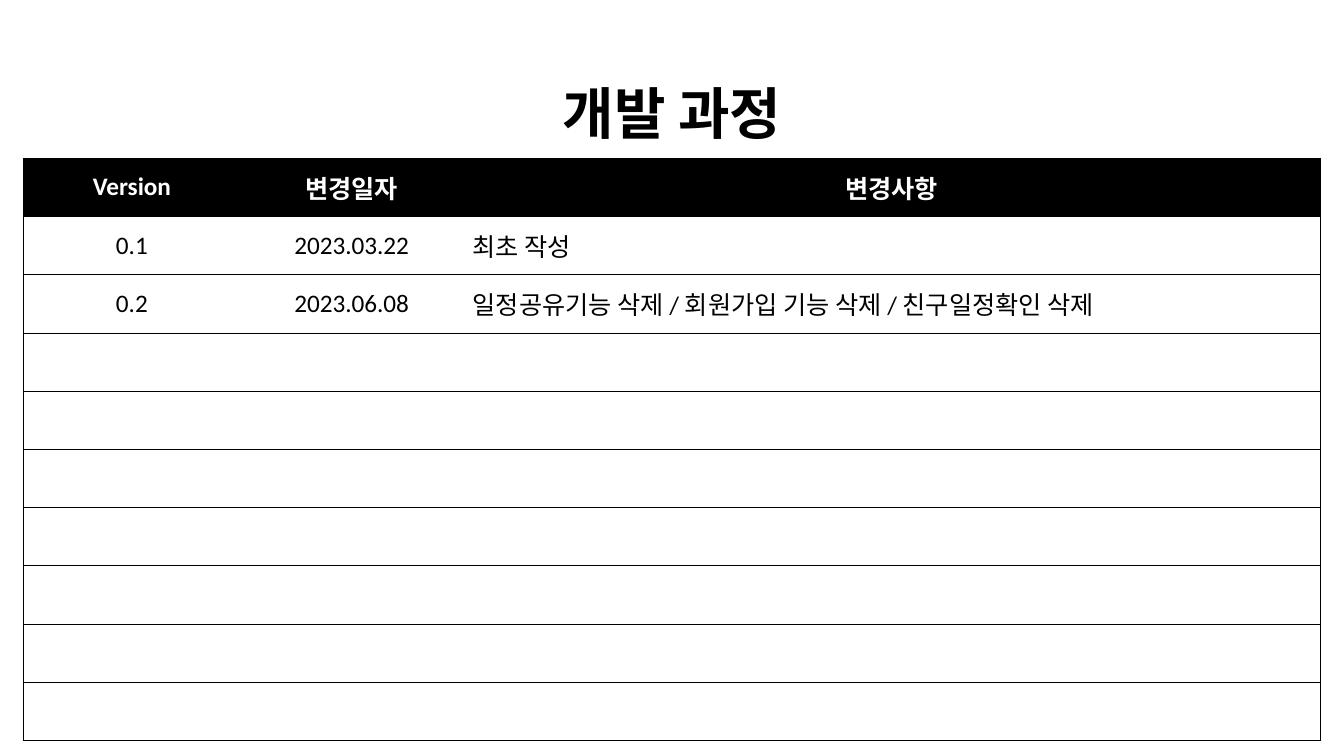
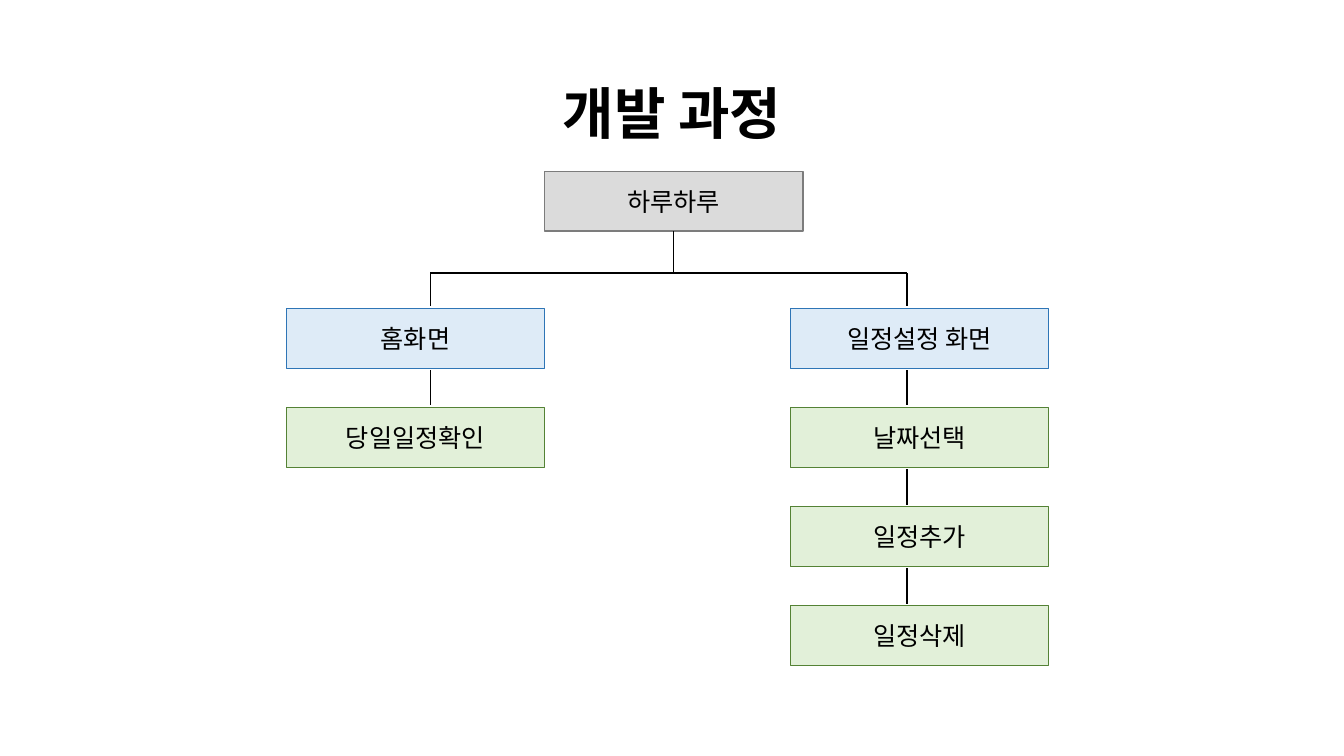
from lxml.etree import SubElement
from pptx import Presentation
from pptx.dml.color import RGBColor
from pptx.enum.shapes import MSO_CONNECTOR as CONN, MSO_SHAPE as SHAPE
from pptx.enum.text import MSO_ANCHOR as ANCHOR, MSO_AUTO_SIZE as AUTO, PP_ALIGN as ALIGN
from pptx.oxml.ns import qn
from pptx.util import Pt

BLACK = RGBColor(0x00, 0x00, 0x00)
WHITE = RGBColor(0xFF, 0xFF, 0xFF)
GRAY = RGBColor(0xDB, 0xDB, 0xDB)
GRAY_LINE = RGBColor(0x7C, 0x7C, 0x7C)
BLUE = RGBColor(0xDE, 0xEB, 0xF7)
BLUE_LINE = RGBColor(0x2E, 0x75, 0xB6)
GREEN = RGBColor(0xE2, 0xF0, 0xD9)
GREEN_LINE = RGBColor(0x54, 0x82, 0x35)

TITLE = "개발 과정"
BOX_W, BOX_H = 184.5, 42.6
LEVEL_TOP, LEVEL_STEP = 220.3, 70.8
GAP = 1.5


class Deck:
    font, size = "Calibri", 18
    title_font, title_size = "Arial", 40

    def __init__(self):
        self.prs = Presentation()
        self.prs.slide_width, self.prs.slide_height = Pt(960), Pt(540)
        self.s = None

    def slide(self, title):
        self.s = self.prs.slides.add_slide(self.prs.slide_layouts[5])
        sp = self.s.shapes.title
        sp.left, sp.top, sp.width, sp.height = Pt(236), Pt(52.5), Pt(488), Pt(55.5)
        self.text(sp.text_frame, title, bold=True, font=self.title_font, size=self.title_size)
        sp.text_frame.auto_size = AUTO.SHAPE_TO_FIT_TEXT

    def text(self, tf, text, color=BLACK, bold=False, align=ALIGN.CENTER, font=None, size=None):
        tf.word_wrap = True
        tf.vertical_anchor = ANCHOR.MIDDLE
        p = tf.paragraphs[0]
        p.alignment = align
        r = p.add_run()
        r.text = text
        r.font.name, r.font.size = font or self.font, Pt(size or self.size)
        r.font.bold = bold
        r.font.color.rgb = color

    def box(self, x, y, text, fill, line, width=0.75):
        sp = self.s.shapes.add_shape(SHAPE.RECTANGLE, Pt(x), Pt(y), Pt(BOX_W), Pt(BOX_H))
        sp.shadow.inherit = False
        sp.fill.solid()
        sp.fill.fore_color.rgb = fill
        sp.line.color.rgb = line
        sp.line.width = Pt(width)
        self.text(sp.text_frame, text)
        return sp

    def line(self, x1, y1, x2, y2):
        c = self.s.shapes.add_connector(CONN.STRAIGHT, Pt(x1), Pt(y1), Pt(x2), Pt(y2))
        c.line.color.rgb = BLACK
        c.line.width = Pt(1)
        SubElement(c._element.spPr, qn("a:effectLst"))
        return c

    def border(self, cell, visible):
        tcPr = cell._tc.get_or_add_tcPr()
        for side in "LRTB":
            ln = SubElement(tcPr, qn(f"a:ln{side}"), w=str(Pt(0.5)))
            if side in visible:
                fill = SubElement(ln, qn("a:solidFill"))
                SubElement(fill, qn("a:srgbClr"), val=str(BLACK))
            else:
                SubElement(ln, qn("a:noFill"))

    def table(self, x, y, widths, row_h, n_rows, rows):
        n_cols = len(widths)
        frame = self.s.shapes.add_table(
            n_rows, n_cols, Pt(x), Pt(y), Pt(sum(widths)), Pt(row_h * n_rows))
        tbl = frame.table
        tbl.horz_banding = tbl.first_row = False
        for col, w in zip(tbl.columns, widths):
            col.width = Pt(w)
        for i, row in enumerate(tbl.rows):
            row.height = Pt(row_h)
            head = i == 0
            for j, cell in enumerate(row.cells):
                last = j == n_cols - 1
                self.border(cell, "TB" + ("L" if j == 0 else "") + ("R" if last else ""))
                cell.fill.solid()
                cell.fill.fore_color.rgb = BLACK if head else WHITE
                if i < len(rows):
                    cell.vertical_anchor = ANCHOR.MIDDLE
                    self.text(cell.text_frame, rows[i][j], WHITE if head else BLACK, head,
                              ALIGN.LEFT if last and not head else ALIGN.CENTER)


def history(d):
    d.slide(TITLE)
    d.table(16.5, 113, [155.5, 158.5, 612.5], 41.6, 10, [
        ("Version", "변경일자", "변경사항"),
        ("0.1", "2023.03.22", "최초 작성"),
        ("0.2", "2023.06.08", "일정공유기능 삭제 / 회원가입 기능 삭제 / 친구일정확인 삭제"),
    ])


def structure(d):
    d.slide(TITLE)
    bus_y = 195
    root = d.box(389, 122.5, "하루하루", GRAY, GRAY_LINE, 1)
    branches = [
        (204.5, 307.5, ["홈화면", "당일일정확인"]),
        (564.5, 648, ["일정설정 화면", "날짜선택", "일정추가", "일정삭제"]),
    ]
    for x, stem_x, names in branches:
        start = bus_y
        for i, name in enumerate(names):
            y = LEVEL_TOP + i * LEVEL_STEP
            colors = (GREEN, GREEN_LINE) if i else (BLUE, BLUE_LINE)
            d.box(x, y, name, *colors)
            d.line(stem_x, start, stem_x, y - GAP)
            start = y + BOX_H + GAP
    d.line(branches[0][1], bus_y, branches[1][1], bus_y)
    root_x = 389 + BOX_W / 2
    trunk = d.line(root_x, 122.5 + BOX_H, root_x, bus_y)
    trunk.begin_connect(root, 2)


def main():
    d = Deck()
    history(d)
    structure(d)
    d.prs.save("out.pptx")


if __name__ == "__main__":
    main()
